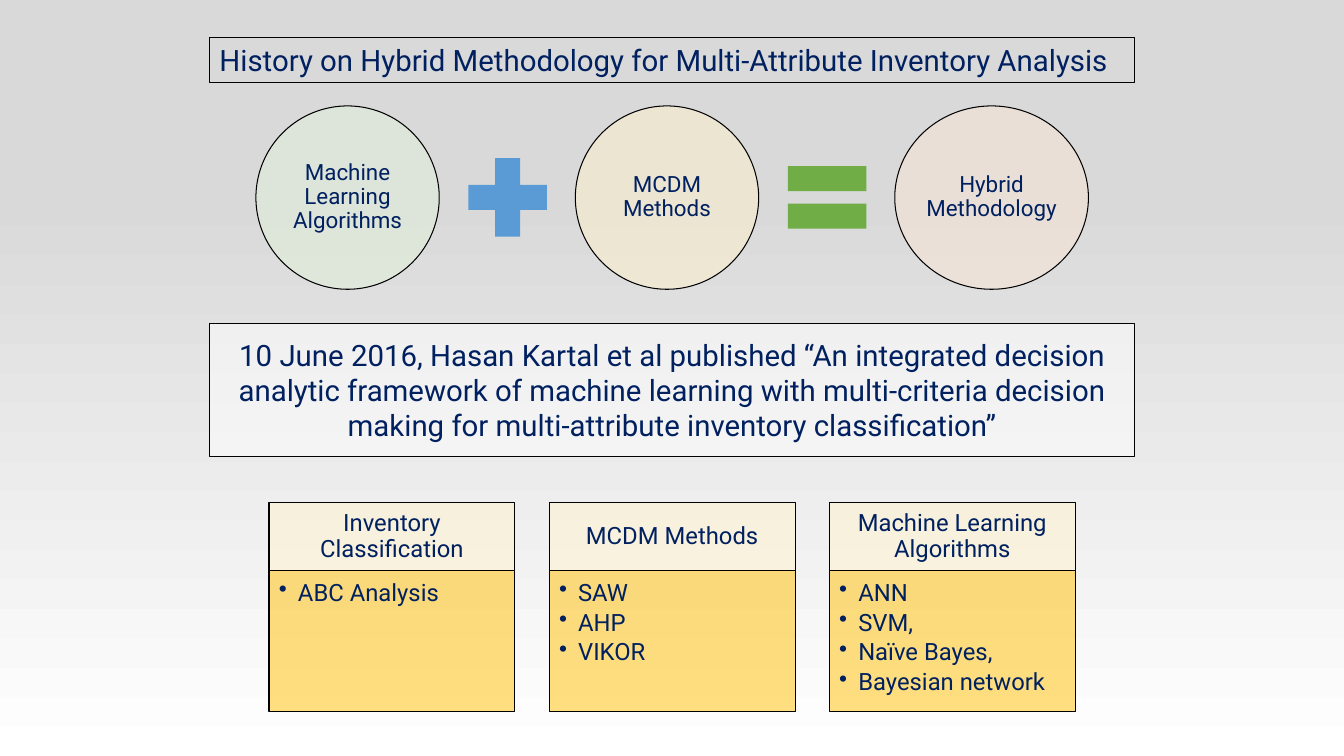
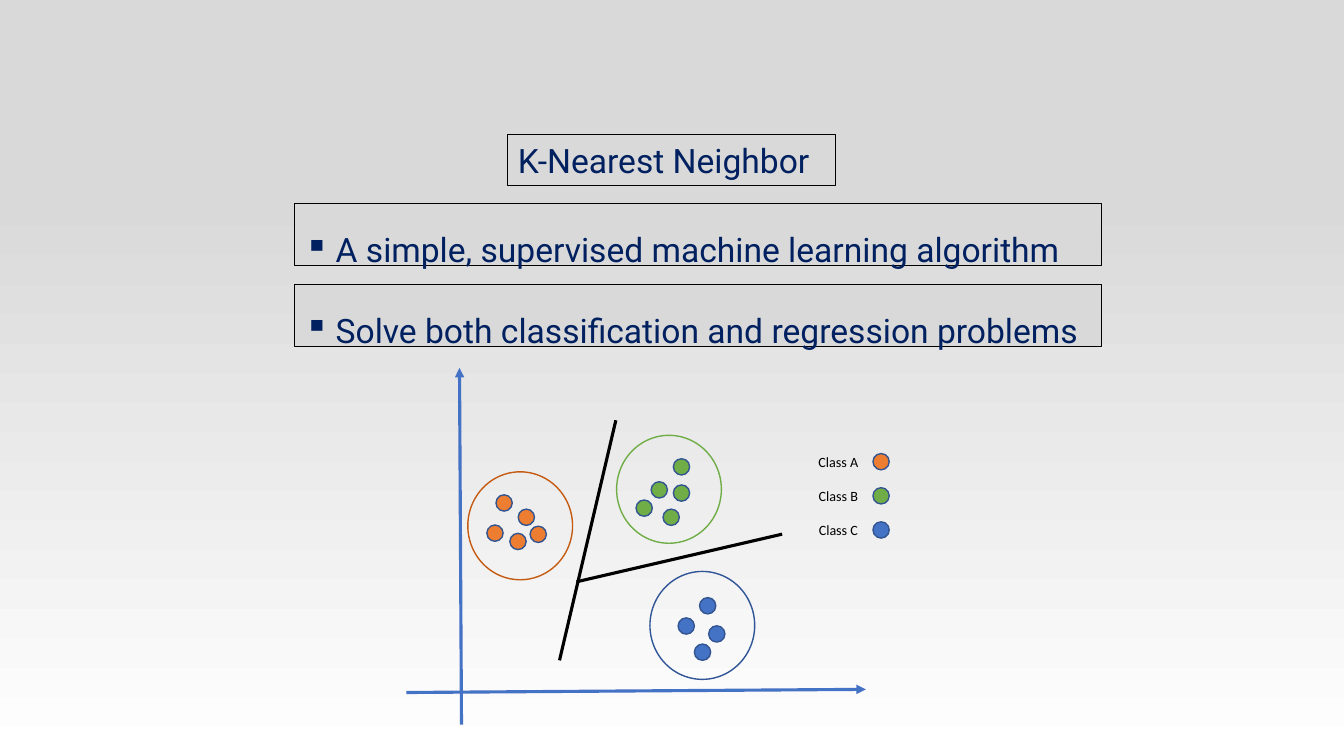
from pptx import Presentation
from pptx.dml.color import RGBColor as RGB
from pptx.enum.shapes import MSO_CONNECTOR as Link, MSO_SHAPE as Form
from pptx.enum.text import MSO_ANCHOR as Anchor, PP_ALIGN as Align
from pptx.oxml.ns import qn
from pptx.oxml.xmlchemy import OxmlElement as Node
from pptx.util import Cm, Pt

# Colours
NAVY = RGB(0x00, 0x20, 0x60)
BLACK = RGB(0x00, 0x00, 0x00)
WHITE = RGB(0xFF, 0xFF, 0xFF)
GREY = RGB(0xD9, 0xD9, 0xD9)
MINT = RGB(0xE2, 0xF0, 0xD9)
CREAM = RGB(0xFF, 0xF2, 0xCC)
PEACH = RGB(0xFB, 0xE5, 0xD6)
GOLD = RGB(0xFF, 0xC0, 0x00)
SKY = RGB(0x5B, 0x9B, 0xD5)
GREEN = RGB(0x70, 0xAD, 0x47)
ORANGE = RGB(0xED, 0x7D, 0x31)
BLUE = RGB(0x44, 0x72, 0xC4)
RUST = RGB(0xC5, 0x5A, 0x11)
DEEP = RGB(0x2F, 0x55, 0x97)
EDGE = RGB(0x32, 0x54, 0x91)

PAD = (0.25, 0.13, 0.25, 0.13)
DOT = 0.41


class Deck:
    """Holds the shared style and the current slide."""

    def __init__(self):
        self.prs = Presentation()
        self.prs.slide_width, self.prs.slide_height = Cm(33.87), Cm(19.05)
        self.slide = None

    def page(self):
        self.slide = self.prs.slides.add_slide(self.prs.slide_layouts[6])
        fill = self.slide.background.fill
        fill.gradient()
        fill.gradient_angle = 90
        for stop, color, at in zip(fill.gradient_stops, (WHITE, GREY), (0, 0.74)):
            stop.color.rgb = color
            stop.position = at

    def shape(self, form, x, y, w, h, fill=None, alpha=None, line=None, width=0.75):
        item = self.slide.shapes.add_shape(form, Cm(x), Cm(y), Cm(w), Cm(h))
        item.shadow.inherit = False
        if fill is None:
            item.fill.background()
        else:
            item.fill.solid()
            item.fill.fore_color.rgb = fill
        if alpha is not None:
            tint = Node("a:alpha")
            tint.set("val", str(alpha * 1000))
            item._element.spPr.find(qn("a:solidFill"))[0].append(tint)
        if line is None:
            item.line.fill.background()
        else:
            item.line.color.rgb = line
            item.line.width = Pt(width)
        return item

    def text(self, item, lines, size, color=NAVY, font="Roboto", align=Align.CENTER,
             anchor=Anchor.MIDDLE, pad=PAD, lead=None, after=None, mark=None, hang=0):
        frame = item.text_frame
        frame.word_wrap = True
        frame.vertical_anchor = anchor
        (frame.margin_left, frame.margin_top,
         frame.margin_right, frame.margin_bottom) = map(Cm, pad)
        for i, words in enumerate(lines):
            para = frame.add_paragraph() if i else frame.paragraphs[0]
            para.alignment = align
            para.line_spacing = lead
            para.space_after = after
            if mark:
                self.bullet(para, mark, hang)
            run = para.add_run()
            run.text = words
            run.font.name = font
            run.font.size = Pt(size)
            run.font.color.rgb = color

    def bullet(self, para, mark, hang):
        props = para._p.get_or_add_pPr()
        props.set("marL", str(Cm(hang)))
        props.set("indent", str(-Cm(hang)))
        char = Node("a:buChar")
        char.set("char", mark)
        props.append(char)

    def title(self, words, x, y, w, h, size, alpha=None):
        box = self.shape(Form.RECTANGLE, x, y, w, h, GREY, alpha, BLACK)
        self.text(box, [words], size, align=Align.LEFT, anchor=Anchor.TOP)

    def label(self, words, x, y, w, h):
        box = self.slide.shapes.add_textbox(Cm(x), Cm(y), Cm(w), Cm(h))
        self.text(box, [words], 10.1, BLACK, "Calibri")

    def dot(self, x, y, color):
        self.shape(Form.OVAL, x, y, DOT, DOT, color, line=EDGE, width=1)

    def line(self, x1, y1, x2, y2, color, arrow=False):
        link = self.slide.shapes.add_connector(
            Link.STRAIGHT, Cm(x1), Cm(y1), Cm(x2), Cm(y2))
        link.line.color.rgb = color
        link.line.width = Pt(2.25)
        if arrow:
            tip = Node("a:tailEnd")
            tip.set("type", "triangle")
            link.get_or_add_ln().append(tip)
        link._element.spPr.append(Node("a:effectLst"))


def hybrid(deck):
    deck.page()
    left, wide = 5.28, 23.32
    deck.title("History on Hybrid Methodology for Multi-Attribute Inventory Analysis",
               left, 0.94, wide, 1.14, 21, 50)

    # Sum of circles
    step = 8.05
    terms = [("Machine Learning Algorithms", MINT, 4.62),
             ("MCDM Methods", CREAM, 4.62),
             ("Hybrid Methodology", PEACH, 4.88)]
    for i, (name, color, w) in enumerate(terms):
        disc = deck.shape(Form.OVAL, 6.45 + i * step, 2.67, w, 4.62, color, 50, BLACK)
        deck.text(disc, [name], 16, pad=(0.05,) * 4, lead=0.9)
    for i, (form, color) in enumerate([(Form.MATH_PLUS, SKY), (Form.MATH_EQUAL, GREEN)]):
        deck.shape(form, 11.45 + i * step, 3.63, 2.69, 2.69, color)

    # Publication
    paper = deck.shape(Form.RECTANGLE, left, 8.15, wide, 3.35, WHITE, 50, BLACK)
    deck.text(paper, ["10 June 2016, Hasan Kartal et al published “An integrated decision "
                      "analytic framework of machine learning with multi-criteria decision "
                      "making for multi-attribute inventory classification”"],
              21, pad=(0.18, 0.1, 0.18, 0.1))

    # Method cards
    cards = [("Inventory Classification", ["ABC Analysis"]),
             ("MCDM Methods", ["SAW", "AHP", "VIKOR"]),
             ("Machine Learning Algorithms",
              ["ANN", "SVM,", "Naïve Bayes,", "Bayesian network"])]
    for i, (name, items) in enumerate(cards):
        x = 6.78 + i * 7.06
        head = deck.shape(Form.RECTANGLE, x, 12.67, 6.2, 1.71, CREAM, 50, BLACK)
        deck.text(head, [name], 17, pad=(0.33, 0.2, 0.33, 0.2), lead=0.9)
        body = deck.shape(Form.RECTANGLE, x, 14.38, 6.2, 3.56, GOLD, 50, BLACK)
        deck.text(body, items, 17, align=Align.LEFT, anchor=Anchor.TOP,
                  pad=(0.25, 0.25, 0.33, 0.38), lead=0.9, after=Pt(3),
                  mark="•", hang=0.48)


def nearest(deck):
    deck.page()
    deck.title("K-Nearest Neighbor", 12.8, 3.4, 8.26, 1.27, 24)

    # Key points
    points = ["A simple, supervised machine learning algorithm",
              "Solve both classification and regression problems"]
    for i, point in enumerate(points):
        box = deck.shape(Form.RECTANGLE, 7.42, 5.13 + i * 2.04, 20.35, 1.57,
                         GREY, line=BLACK)
        deck.text(box, [point], 24, align=Align.JUSTIFY, anchor=Anchor.TOP,
                  lead=1.5, mark="▪", hang=0.79)

    # Clusters with their legend
    groups = [
        ("Class A", ORANGE, RUST, (11.79, 11.89),
         [(12.5, 12.47), (12.27, 13.23), (13.06, 12.83), (12.85, 13.44), (13.36, 13.26)]),
        ("Class B", GREEN, GREEN, (15.54, 10.97),
         [(16.97, 12.22), (16.03, 12.6), (16.71, 12.83), (16.41, 12.14), (16.97, 11.56)]),
        ("Class C", BLUE, DEEP, (16.38, 14.4),
         [(17.63, 15.06), (17.09, 15.57), (17.5, 16.23), (17.86, 15.77)])]
    for i, (name, color, rim, ring, spots) in enumerate(groups):
        for x, y in spots:
            deck.dot(x, y, color)
        deck.shape(Form.OVAL, *ring, 2.64, 2.72, line=rim, width=1)
        y = 11.43 + i * 0.86
        deck.label(name, 19.71, y - 0.2, 2.84, 0.8)
        deck.dot(22, y, color)

    # Borders between classes
    deck.line(15.52, 10.59, 14.1, 16.64, BLACK)
    deck.line(14.53, 14.66, 19.71, 13.46, BLACK)

    # Axes
    deck.line(11.63, 18.26, 11.58, 9.27, BLUE, arrow=True)
    deck.line(10.24, 17.45, 21.82, 17.37, BLUE, arrow=True)


def main():
    deck = Deck()
    hybrid(deck)
    nearest(deck)
    deck.prs.save("out.pptx")


if __name__ == "__main__":
    main()
